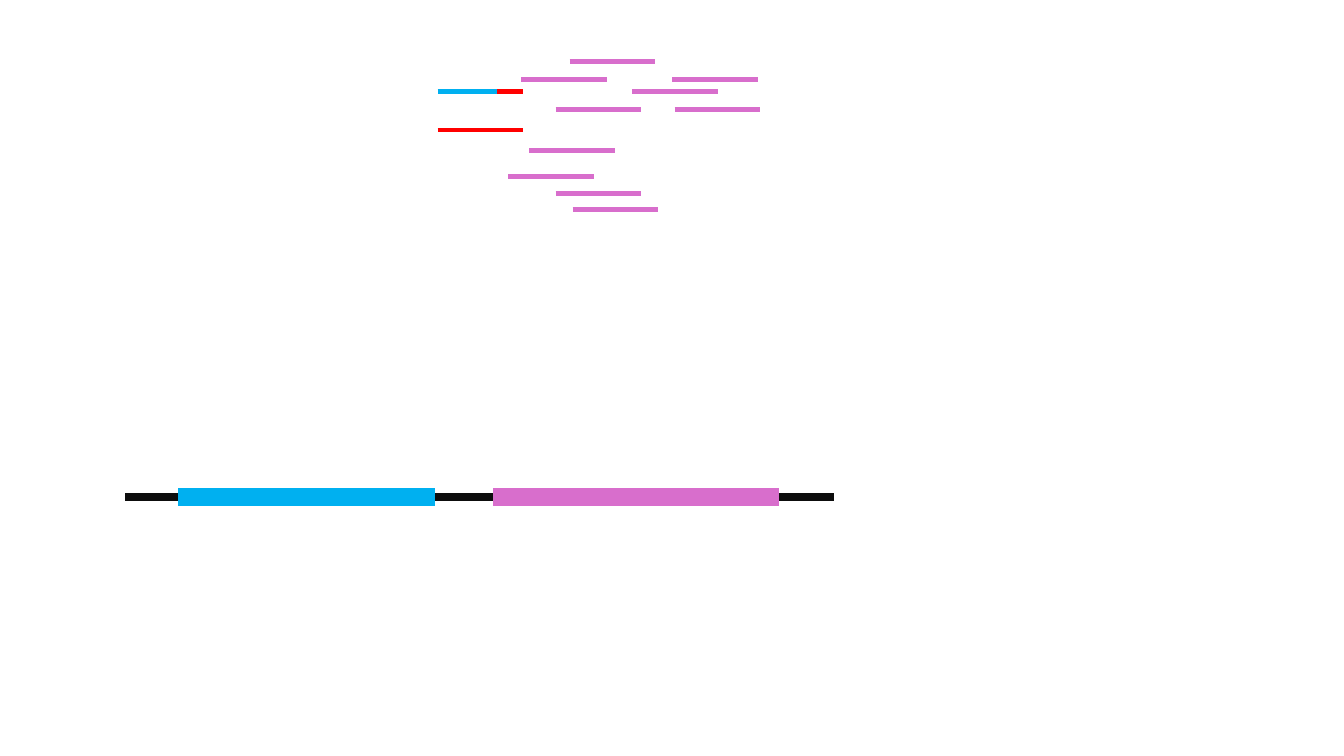
from lxml import etree
from pptx import Presentation
from pptx.dml.color import RGBColor
from pptx.enum.shapes import MSO_CONNECTOR
from pptx.oxml.ns import qn
from pptx.util import Inches, Pt

COLORS = {"blue": "00B0F0", "red": "FF0000", "pink": "D86ECC", "black": "0D0D0D"}
READ_LENGTH = 0.85
READ_WIDTH = 3.5
GENOME_Y = 4.93

# Split read: (start x, end x, color), joined end to end
SPLIT_READ_Y = 0.91
SPLIT_READ = [(4.34, 4.93, "blue"), (4.93, 5.19, "red")]

# Full-length reads: (left, y, color)
READS = [
    (4.34, 1.29, "red"),
    (5.17, 0.79, "pink"),
    (6.67, 0.79, "pink"),
    (5.65, 0.61, "pink"),
    (6.69, 1.09, "pink"),
    (5.51, 1.09, "pink"),
    (5.25, 1.49, "pink"),
    (5.04, 1.75, "pink"),
    (5.51, 1.92, "pink"),
    (5.68, 2.08, "pink"),
    (6.27, 0.91, "pink"),
]

# Genome: (start x, end x, color, line width), backbone first
GENOME = [
    (1.24, 8.27, "black", 5.5),
    (1.77, 4.31, "blue", 12.5),
    (4.89, 7.73, "pink", 12.5),
]


def add_bar(shapes, start, end, y, color, width):
    bar = shapes.add_connector(
        MSO_CONNECTOR.STRAIGHT, Inches(start), Inches(y), Inches(end), Inches(y))
    bar.line.color.rgb = RGBColor.from_string(COLORS[color])
    bar.line.width = Pt(width)
    etree.SubElement(bar._element.spPr, qn("a:effectLst"))


def main():
    presentation = Presentation()
    presentation.slide_width = Inches(13.33)
    presentation.slide_height = Inches(7.5)
    slide = presentation.slides.add_slide(presentation.slide_layouts[6])

    # Split read, grouped
    split_group = slide.shapes.add_group_shape()
    for start, end, color in SPLIT_READ:
        add_bar(split_group.shapes, start, end, SPLIT_READ_Y, color, READ_WIDTH)

    # Genome with its two regions
    for start, end, color, width in GENOME:
        add_bar(slide.shapes, start, end, GENOME_Y, color, width)

    # Reads
    for left, y, color in READS:
        add_bar(slide.shapes, left, left + READ_LENGTH, y, color, READ_WIDTH)

    presentation.save("out.pptx")


if __name__ == "__main__":
    main()
